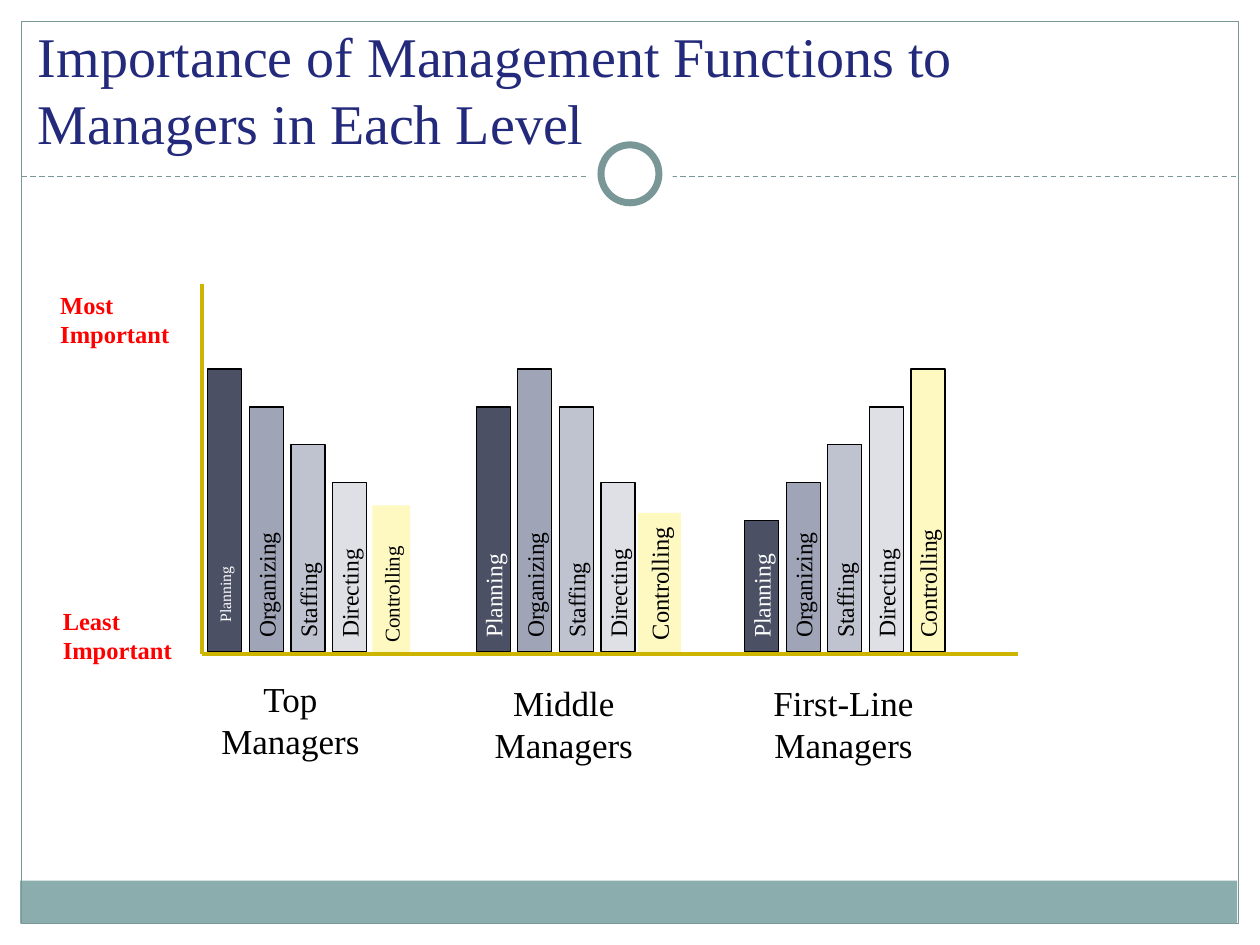
from pptx import Presentation
from pptx.dml.color import RGBColor
from pptx.enum.dml import MSO_LINE
from pptx.enum.shapes import MSO_CONNECTOR, MSO_SHAPE
from pptx.enum.text import MSO_ANCHOR, MSO_AUTO_SIZE, PP_ALIGN
from pptx.oxml.ns import qn
from pptx.util import Inches, Pt
from lxml.etree import SubElement

WHITE = RGBColor(0xFF, 0xFF, 0xFF)
BLACK = RGBColor(0x00, 0x00, 0x00)
RED = RGBColor(0xFF, 0x00, 0x00)
NAVY = RGBColor(0x24, 0x2A, 0x7B)
TEAL = RGBColor(0x7A, 0x97, 0x98)
FOOTER = RGBColor(0x8C, 0xAD, 0xAE)
GOLD = RGBColor(0xCC, 0xB4, 0x00)
CREAM = RGBColor(0xFE, 0xF8, 0xC1)

FUNCTIONS = {
    "Planning": (RGBColor(0x4B, 0x50, 0x64), WHITE, 0.88),
    "Organizing": (RGBColor(0xA0, 0xA4, 0xB7), BLACK, 1.05),
    "Staffing": (RGBColor(0xBF, 0xC2, 0xCF), BLACK, 0.81),
    "Directing": (RGBColor(0xDF, 0xE0, 0xE6), BLACK, 0.92),
    "Controlling": (CREAM, BLACK, 1.07),
}
LEVELS = [
    ("Top\vManagers", (1.65, 5.33), [0, 1, 2, 3, None]),
    ("Middle\vManagers", (3.82, 5.36), [1, 0, 1, 3, None]),
    ("First-Line\vManagers", (6.04, 5.36), [4, 3, 2, 1, 0]),
]
LABEL_EXCEPTIONS = {
    (0, "Planning"): (0.65, 0.25, 9, 5.04),
    (0, "Controlling"): (1.19, 0.3, 12, 5.2),
    (1, "Controlling"): (1.11, 0.34, 14, 5.18),
}
FIRST_BAR, LEVEL_STEP, BAR_STEP, BAR_WIDTH = 1.65, 2.13, 0.33, 0.27
TALLEST_TOP, RANK_STEP, BASE = 2.93, 0.3, 5.17


class SlideBuilder:
    """Draws styled elements on one title-only slide."""

    font_name = "Times New Roman"

    def __init__(self, deck):
        self.slide = deck.slides.add_slide(deck.slide_layouts[5])

    def apply(self, target, values):
        for name, value in values.items():
            setattr(target, name, value)

    def place(self, box):
        return [Inches(length) for length in box]

    def fill_text(self, shape, text, size, color, bold=False, align=PP_ALIGN.LEFT, **frame):
        self.apply(shape.text_frame, {"auto_size": MSO_AUTO_SIZE.NONE,
                                      "vertical_anchor": MSO_ANCHOR.TOP, **frame})
        shape.text_frame.text = text
        paragraph = shape.text_frame.paragraphs[0]
        paragraph.alignment = align
        for run in paragraph.runs:
            self.apply(run.font, {"name": self.font_name, "size": Pt(size), "bold": bold})
            run.font.color.rgb = color

    def title(self, text, box, size, color):
        heading = self.slide.shapes.title
        self.apply(heading, dict(zip(("left", "top", "width", "height"), self.place(box))))
        self.fill_text(heading, text, size, color, word_wrap=True,
                       vertical_anchor=MSO_ANCHOR.BOTTOM, margin_left=0, margin_right=0,
                       margin_top=Inches(0.04), margin_bottom=Inches(0.04))

    def shape(self, box, fill=None, line=None, weight=0.75, kind=MSO_SHAPE.RECTANGLE):
        outline = self.slide.shapes.add_shape(kind, *self.place(box))
        outline.shadow.inherit = False
        if fill is None:
            outline.fill.background()
        else:
            outline.fill.solid()
            outline.fill.fore_color.rgb = fill
        if line is None:
            outline.line.fill.background()
        else:
            outline.line.color.rgb = line
            outline.line.width = Pt(weight)
        return outline

    def line(self, start, end, color, weight, dash=None):
        rule = self.slide.shapes.add_connector(
            MSO_CONNECTOR.STRAIGHT, *self.place(start + end))
        rule.line.color.rgb = color
        self.apply(rule.line, {"width": Pt(weight), "dash_style": dash})
        SubElement(rule._element.spPr, qn("a:effectLst"))

    def text(self, box, text, size, color, **style):
        caption = self.slide.shapes.add_textbox(*self.place(box))
        self.fill_text(caption, text, size, color, **{"word_wrap": False, **style})
        return caption

    def upright_label(self, center, bottom, length, depth, text, size, color, fill=None):
        box = (center - length / 2, bottom - length / 2 - depth / 2, length, depth)
        if fill is None:
            label = self.text(box, text, size, color)
        else:
            label = self.shape(box, fill)
            self.fill_text(label, text, size, color, word_wrap=size < 14)
        label.rotation = 270


def draw_frame(page):
    page.shape((0.16, 6.99, 9.66, 0.34), FOOTER)
    page.shape((0.17, 0.17, 9.66, 7.16), line=TEAL)
    page.line((0.17, 1.4), (9.83, 1.4), TEAL, 0.75, MSO_LINE.DASH)
    page.shape((4.67, 1.05, 0.67, 0.67), WHITE, kind=MSO_SHAPE.OVAL)
    page.shape((4.77, 1.15, 0.46, 0.46), WHITE, TEAL, 4, MSO_SHAPE.OVAL)


def draw_levels(page):
    for level, (caption, corner, ranks) in enumerate(LEVELS):
        for order, (function, rank) in enumerate(zip(FUNCTIONS, ranks)):
            fill, ink, length = FUNCTIONS[function]
            left = FIRST_BAR + level * LEVEL_STEP + order * BAR_STEP
            if rank is not None:
                top = TALLEST_TOP + rank * RANK_STEP
                page.shape((left, top, BAR_WIDTH, BASE - top), fill, BLACK)
            length, depth, size, bottom = LABEL_EXCEPTIONS.get(
                (level, function), (length, 0.33, 13.5, 5.16))
            page.upright_label(left + BAR_WIDTH / 2, bottom, length, depth, function,
                               size, ink, fill if rank is None else None)
        page.text((*corner, 1.31, 0.77), caption, 20, BLACK, align=PP_ALIGN.CENTER)


def main():
    deck = Presentation()
    deck.slide_width, deck.slide_height = Inches(10), Inches(7.5)
    page = SlideBuilder(deck)
    draw_frame(page)
    page.title("Importance of Management Functions to Managers in Each Level",
               (0.3, 0.18, 8.92, 1.1), 32, NAVY)
    draw_levels(page)
    page.line((1.6, 2.25), (1.6, 5.19), GOLD, 2.25)
    page.line((1.6, 5.19), (8.08, 5.19), GOLD, 2.25)
    page.text((0.4, 4.76, 1.07, 0.57), "Least\vImportant", 14, RED, bold=True)
    page.text((0.38, 2.25, 1.07, 0.57), "Most\vImportant", 14, RED, bold=True)
    deck.save("out.pptx")


if __name__ == "__main__":
    main()
